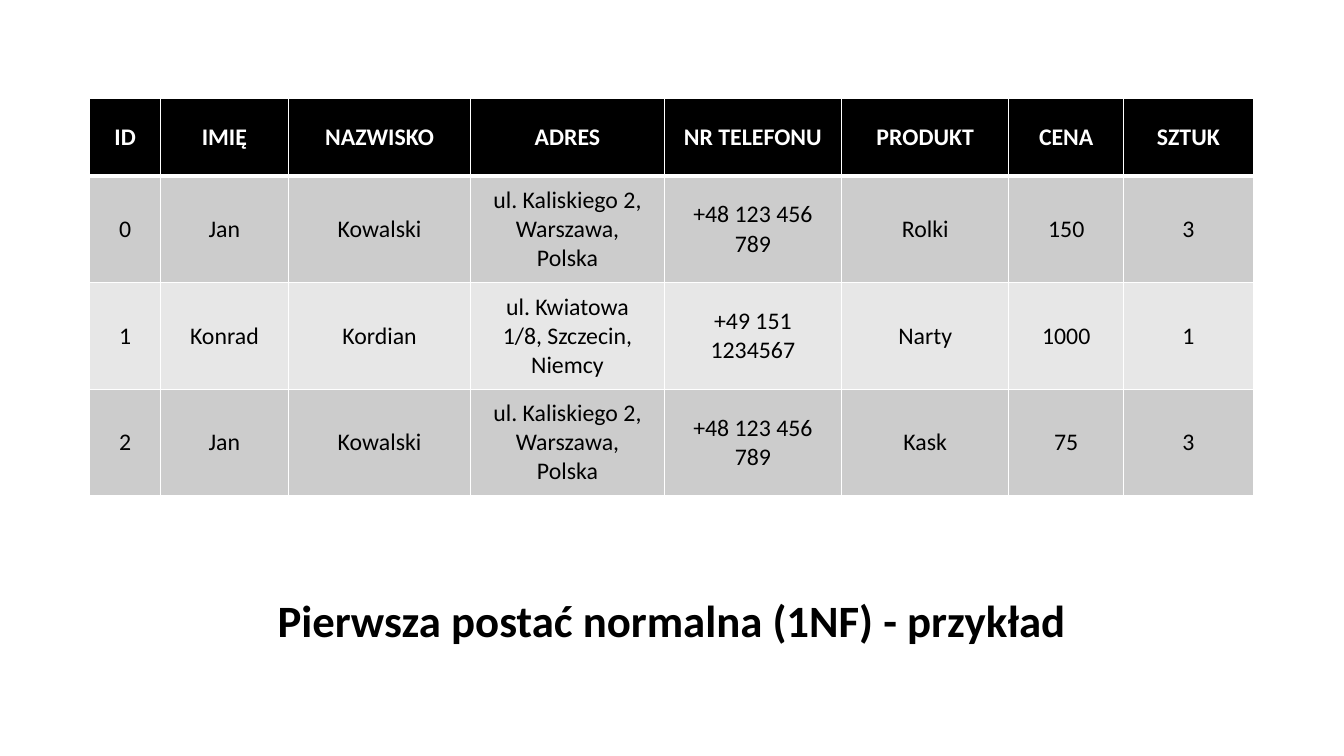
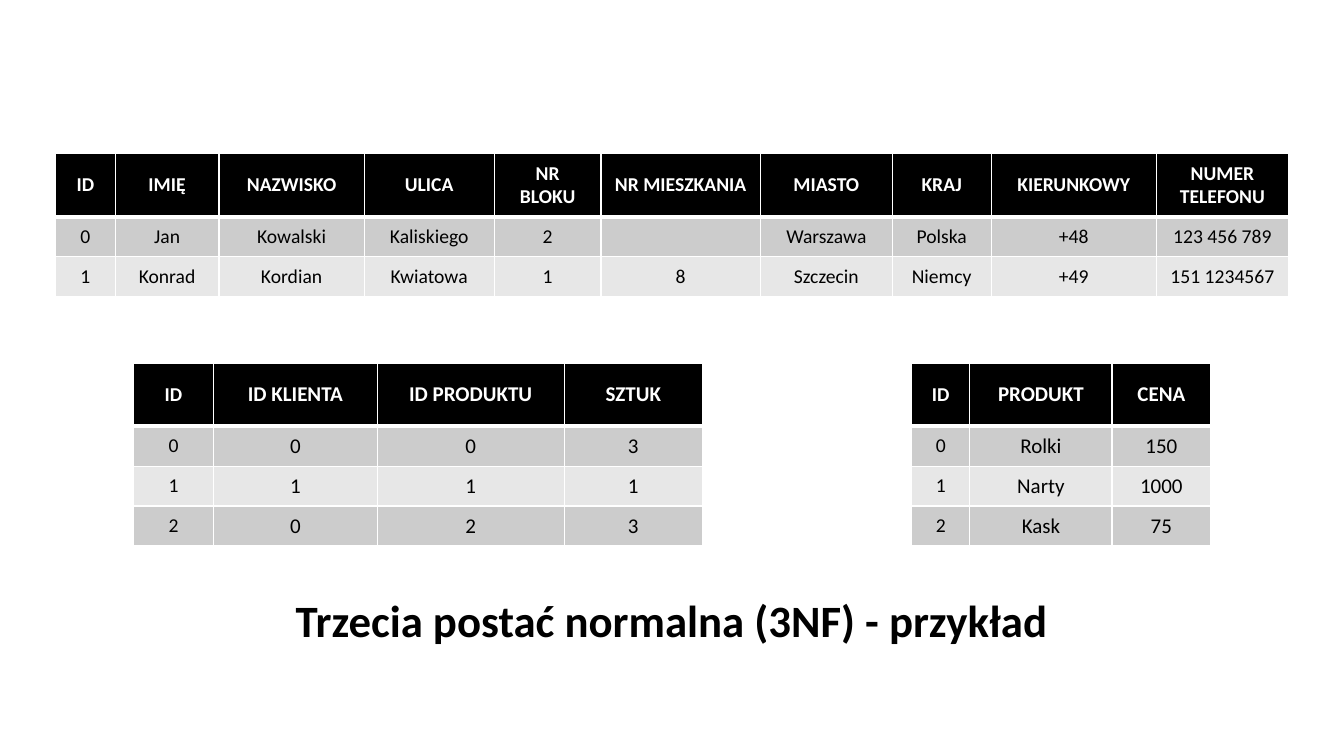
import pptx
import pptx.util
import pptx.dml.color
import pptx.enum.text
import pptx.oxml
import pptx.oxml.ns

Pt = pptx.util.Pt
RGBColor = pptx.dml.color.RGBColor
CENTER = pptx.enum.text.PP_ALIGN.CENTER
MIDDLE = pptx.enum.text.MSO_ANCHOR.MIDDLE
BOTTOM = pptx.enum.text.MSO_ANCHOR.BOTTOM

BLACK = RGBColor(0x00, 0x00, 0x00)
WHITE = RGBColor(0xFF, 0xFF, 0xFF)
DARK_BAND = RGBColor(0xCC, 0xCC, 0xCC)
LIGHT_BAND = RGBColor(0xE7, 0xE7, 0xE7)
FONT = "Calibri"
THIN, THICK = 1, 3


def style_paragraph(paragraph, size, color, bold):
    paragraph.alignment = CENTER
    paragraph.font.name = FONT
    paragraph.font.size = Pt(size)
    paragraph.font.bold = bold
    paragraph.font.color.rgb = color


def add_title(slide, text):
    title = slide.shapes.add_textbox(Pt(136), Pt(402), Pt(688), Pt(63.5))
    frame = title.text_frame
    frame.word_wrap = True
    frame.vertical_anchor = BOTTOM
    frame.text = text
    frame.paragraphs[0].line_spacing = 0.9
    style_paragraph(frame.paragraphs[0], 32, BLACK, True)


def set_borders(cell, top, bottom):
    properties = cell._tc.get_or_add_tcPr()
    widths = {"lnL": THIN, "lnR": THIN, "lnT": top, "lnB": bottom}
    for position, (side, width) in enumerate(widths.items()):
        border = pptx.oxml.parse_xml(
            f'<a:{side} {pptx.oxml.ns.nsdecls("a")} w="{Pt(width)}">'
            f'<a:solidFill><a:srgbClr val="{WHITE}"/></a:solidFill></a:{side}>'
        )
        properties.insert(position, border)


def fill_cell(cell, text, row, size, inset):
    header = row == 0
    cell.text = text
    cell.vertical_anchor = MIDDLE
    cell.margin_left = cell.margin_right = Pt(inset)
    cell.margin_top = cell.margin_bottom = Pt(inset / 2)
    style_paragraph(cell.text_frame.paragraphs[0], size, WHITE if header else BLACK, header)
    cell.fill.solid()
    cell.fill.fore_color.rgb = BLACK if header else DARK_BAND if row % 2 else LIGHT_BAND
    set_borders(cell, THICK if row == 1 else THIN, THICK if header else THIN)


def add_data_table(slide, left, top, widths, header_height, row_height, records,
                   id_size, size, inset):
    heights = [header_height] + [row_height] * (len(records) - 1)
    table = slide.shapes.add_table(
        len(records), len(widths), Pt(left), Pt(top), Pt(sum(widths)), Pt(sum(heights))
    ).table
    for column, width in zip(table.columns, widths):
        column.width = Pt(width)
    for row, (height, record) in enumerate(zip(heights, records)):
        table.rows[row].height = Pt(height)
        for column, text in enumerate(record):
            fill_cell(table.cell(row, column), text, row, size if column else id_size, inset)


def add_first_form(slide):
    orders = [
        ("ID", "IMIĘ", "NAZWISKO", "ADRES", "NR TELEFONU", "PRODUKT", "CENA", "SZTUK"),
        ("0", "Jan", "Kowalski", "ul. Kaliskiego 2, Warszawa, Polska",
         "+48 123 456 789", "Rolki", "150", "3"),
        ("1", "Konrad", "Kordian", "ul. Kwiatowa 1/8, Szczecin, Niemcy",
         "+49 151 1234567", "Narty", "1000", "1"),
        ("2", "Jan", "Kowalski", "ul. Kaliskiego 2, Warszawa, Polska",
         "+48 123 456 789", "Kask", "75", "3"),
    ]
    add_title(slide, "Pierwsza postać normalna (1NF) - przykład")
    add_data_table(slide, 64.2, 70.4, [50.4, 91.4, 130.3, 138.2, 126.7, 119.5, 82, 92.5],
                   55.3, 76.2, orders, 17, 17, 11.5)


def add_third_form(slide):
    clients = [
        ("ID", "IMIĘ", "NAZWISKO", "ULICA", "NR BLOKU", "NR MIESZKANIA", "MIASTO",
         "KRAJ", "KIERUNKOWY", "NUMER TELEFONU"),
        ("0", "Jan", "Kowalski", "Kaliskiego", "2", "", "Warszawa",
         "Polska", "+48", "123 456 789"),
        ("1", "Konrad", "Kordian", "Kwiatowa", "1", "8", "Szczecin",
         "Niemcy", "+49", "151 1234567"),
    ]
    products = [
        ("ID", "PRODUKT", "CENA"),
        ("0", "Rolki", "150"),
        ("1", "Narty", "1000"),
        ("2", "Kask", "75"),
    ]
    purchases = [
        ("ID", "ID KLIENTA", "ID PRODUKTU", "SZTUK"),
        ("0", "0", "0", "3"),
        ("1", "1", "1", "1"),
        ("2", "0", "2", "3"),
    ]
    add_title(slide, "Trzecia postać normalna (3NF) - przykład")
    add_data_table(slide, 39.8, 109.8,
                   [42.5, 74.2, 103.7, 92.9, 76.3, 113.8, 94.3, 70.6, 118.1, 94.3],
                   45, 28.5, clients, 14, 14, 9)
    add_data_table(slide, 651.2, 259.5, [41.6, 101.5, 70.6],
                   45, 28.5, products, 14, 15, 9)
    add_data_table(slide, 95.3, 259.5, [57.3, 116.8, 133.7, 98.6],
                   45, 28.5, purchases, 14, 15, 9)


def main():
    presentation = pptx.Presentation()
    presentation.slide_width = Pt(960)
    presentation.slide_height = Pt(540)
    blank = presentation.slide_layouts[6]
    for add_content in (add_first_form, add_third_form):
        add_content(presentation.slides.add_slide(blank))
    presentation.save("out.pptx")


if __name__ == "__main__":
    main()
